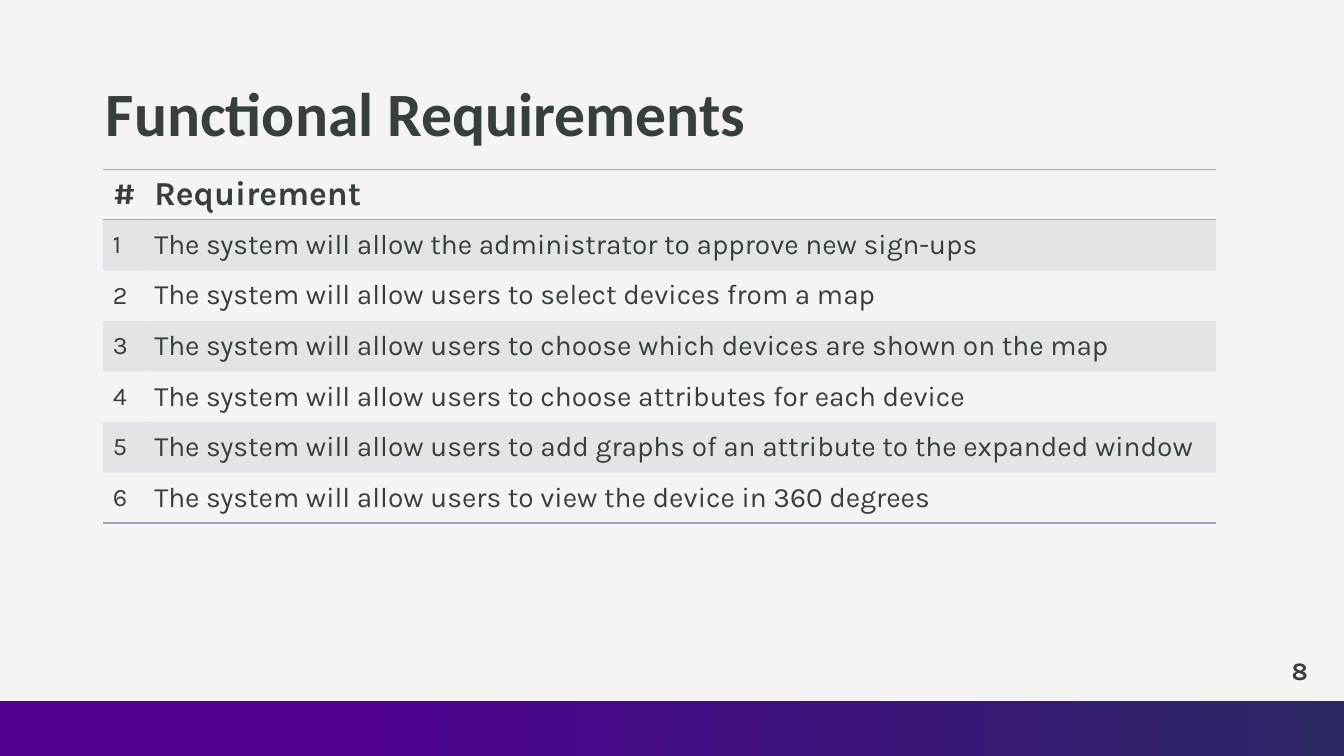
import pptx
import pptx.util
import pptx.dml.color
import pptx.enum.shapes
import pptx.enum.text
import pptx.oxml
import pptx.oxml.ns
import lxml.etree

Inches = pptx.util.Inches
Middle = pptx.enum.text.MSO_ANCHOR.MIDDLE

TITLE = "Functional Requirements"
HEADER = ("#", "Requirement")
REQUIREMENTS = [
    "The system will allow the administrator to approve new sign-ups",
    "The system will allow users to select devices from a map",
    "The system will allow users to choose which devices are shown on the map",
    "The system will allow users to choose attributes for each device",
    "The system will allow users to add graphs of an attribute to the expanded window",
    "The system will allow users to view the device in 360 degrees",
]
PAGE_NUMBER = "8"
COLORS = {
    "page": "F6F4F2",
    "text": "35403A",
    "rule": "9BA6BB",
    "navy": "2B2765",
    "purple": "4E0091",
}
PLAIN_TABLE = "{2D5ABB26-0587-4C30-8999-92F81FD0307C}"
TABLE_HEIGHT = 3.51
COLUMN_WIDTHS = (0.41, 10.63)


def color(name):
    return pptx.dml.color.RGBColor.from_string(COLORS[name])


def add_text(para, text, size, bold=False, font="Karla"):
    span = para.add_run()
    span.text = text
    span.font.name = font
    span.font.size = pptx.util.Pt(size)
    span.font.bold = bold
    span.font.color.rgb = color("text")


def add_rule(cell, side):
    cell._tc.get_or_add_tcPr().append(pptx.oxml.parse_xml(
        f'<a:{side} {pptx.oxml.ns.nsdecls("a")} w="12700"><a:solidFill>'
        f'<a:srgbClr val="{COLORS["rule"]}"/></a:solidFill></a:{side}>'))


def shade(cell):
    cell.fill.solid()
    cell.fill.fore_color.rgb = color("rule")
    tint = cell._tc.tcPr.find(pptx.oxml.ns.qn("a:solidFill"))[0]
    lxml.etree.SubElement(tint, pptx.oxml.ns.qn("a:alpha"), val="20000")


def add_title(page):
    title = page.shapes.title
    title.left, title.top = Inches(0.95), Inches(0.64)
    title.width, title.height = Inches(11.43), Inches(1)
    frame = title.text_frame
    frame.vertical_anchor = pptx.enum.text.MSO_ANCHOR.TOP
    frame.margin_top = Inches(0.1)
    para = frame.paragraphs[0]
    para.alignment = pptx.enum.text.PP_ALIGN.LEFT
    para.line_spacing = 1.0
    add_text(para, TITLE, 44, True, "Calibri")


def add_requirements(page):
    rows = [HEADER] + [(str(n), text) for n, text in enumerate(REQUIREMENTS, 1)]
    frame = page.shapes.add_table(
        len(rows), len(HEADER), Inches(1.02), Inches(1.68),
        Inches(sum(COLUMN_WIDTHS)), Inches(TABLE_HEIGHT))
    table = frame.table
    table._tbl.tblPr.find(pptx.oxml.ns.qn("a:tableStyleId")).text = PLAIN_TABLE
    table.first_row = table.horz_banding = False
    for column, width in zip(table.columns, COLUMN_WIDTHS):
        column.width = Inches(width)
    for r, row in enumerate(rows):
        table.rows[r].height = Inches(TABLE_HEIGHT / len(rows))
        for c, text in enumerate(row):
            cell = table.cell(r, c)
            cell.vertical_anchor = Middle
            size = 24 if r == 0 else (18, 20)[c]
            add_text(cell.text_frame.paragraphs[0], text, size, r == 0)
            if r == 0:
                add_rule(cell, "lnT")
            if r in (0, len(rows) - 1):
                add_rule(cell, "lnB")
            if r % 2:
                shade(cell)
            else:
                cell.fill.background()


def add_footer(page, width):
    box = page.shapes.add_textbox(Inches(12.5), Inches(6.45), Inches(0.57), Inches(0.4))
    box.text_frame.word_wrap = True
    box.text_frame.vertical_anchor = Middle
    para = box.text_frame.paragraphs[0]
    para.alignment = pptx.enum.text.PP_ALIGN.RIGHT
    add_text(para, PAGE_NUMBER, 18, True)

    band = page.shapes.add_shape(
        pptx.enum.shapes.MSO_SHAPE.RECTANGLE, 0, Inches(6.95), width, Inches(0.55))
    band.shadow.inherit = False
    band.line.fill.background()
    band.fill.gradient()
    band.fill.gradient_angle = 180
    for stop, name, position in zip(band.fill.gradient_stops, ("navy", "purple"), (0, 0.74)):
        stop.color.rgb = color(name)
        stop.position = position


def main():
    deck = pptx.Presentation()
    deck.slide_width, deck.slide_height = Inches(13.33), Inches(7.5)
    page = deck.slides.add_slide(deck.slide_layouts[5])
    page.background.fill.solid()
    page.background.fill.fore_color.rgb = color("page")
    add_title(page)
    add_requirements(page)
    add_footer(page, deck.slide_width)
    deck.save("out.pptx")


if __name__ == "__main__":
    main()
